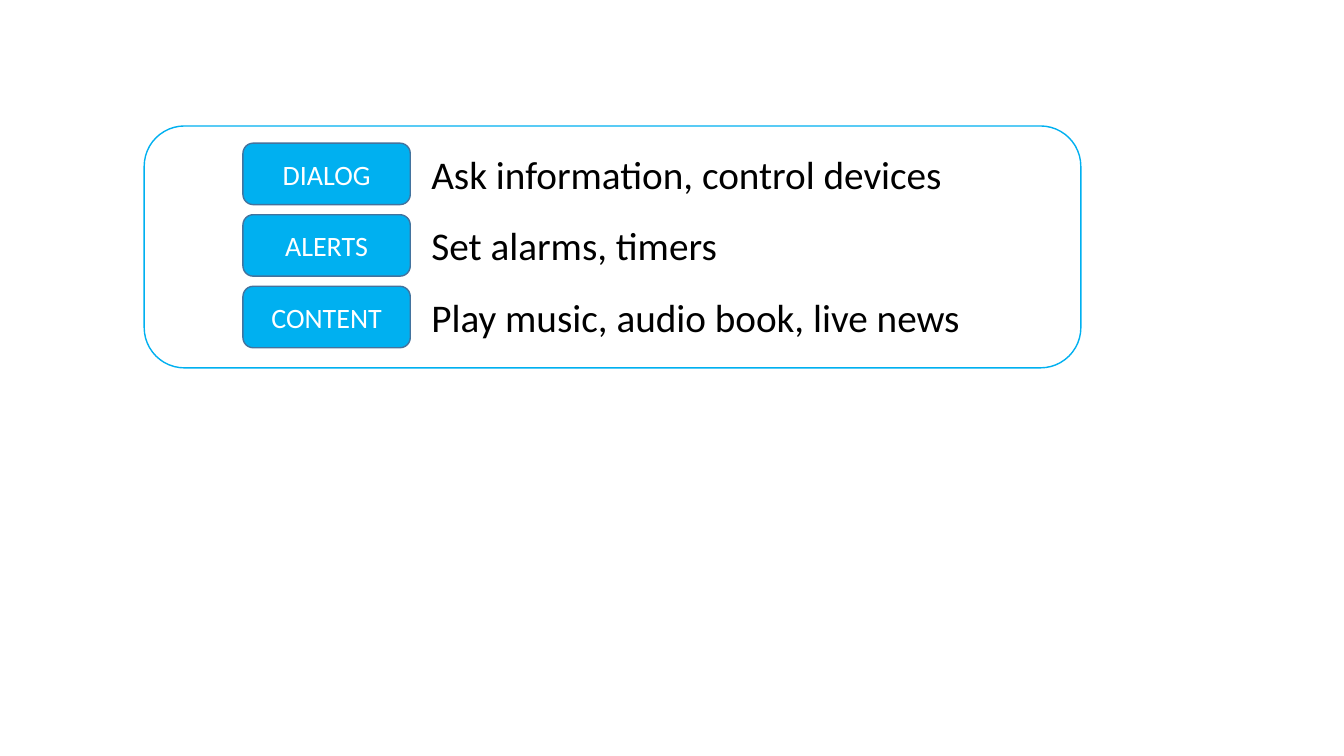
from dataclasses import dataclass

from pptx import Presentation
from pptx.dml.color import RGBColor
from pptx.enum.shapes import MSO_SHAPE
from pptx.enum.text import MSO_ANCHOR, MSO_AUTO_SIZE, PP_ALIGN
from pptx.util import Inches, Pt


@dataclass(frozen=True)
class Theme:
    font: str = "Calibri"
    accent: str = "00B0F0"
    tag_border: str = "43739E"
    tag_text: str = "FFFFFF"
    body_text: str = "000000"
    tag_size: int = 20
    body_size: int = 28
    line_width: int = 1


@dataclass(frozen=True)
class Box:
    left: float
    top: float
    width: float
    height: float

    def emu(self):
        return [Inches(v) for v in (self.left, self.top, self.width, self.height)]


THEME = Theme()
SLIDE_WIDTH, SLIDE_HEIGHT = 13.33, 7.5
FEATURES = [
    ("DIALOG", "Ask information, control devices"),
    ("ALERTS", "Set alarms, timers"),
    ("CONTENT", "Play music, audio book, live news"),
]


def write(holder, wording, size, color):
    holder.text_frame.text = wording
    font = holder.text_frame.paragraphs[0].runs[0].font
    font.name, font.size = THEME.font, Pt(size)
    font.color.rgb = RGBColor.from_string(color)


def add_rounded(slide, box, border, fill=None):
    rounded = slide.shapes.add_shape(MSO_SHAPE.ROUNDED_RECTANGLE, *box.emu())
    rounded.shadow.inherit = False
    rounded.line.color.rgb = RGBColor.from_string(border)
    rounded.line.width = Pt(THEME.line_width)
    if fill:
        rounded.fill.solid()
        rounded.fill.fore_color.rgb = RGBColor.from_string(fill)
    else:
        rounded.fill.background()
    return rounded


def add_tag(slide, box, wording):
    tag = add_rounded(slide, box, THEME.tag_border, THEME.accent)
    write(tag, wording, THEME.tag_size, THEME.tag_text)
    tag.text_frame.vertical_anchor = MSO_ANCHOR.MIDDLE
    tag.text_frame.paragraphs[0].alignment = PP_ALIGN.CENTER


def add_description(slide, box, wording):
    description = slide.shapes.add_textbox(*box.emu())
    write(description, wording, THEME.body_size, THEME.body_text)
    description.text_frame.word_wrap = True
    description.text_frame.auto_size = MSO_AUTO_SIZE.SHAPE_TO_FIT_TEXT


def add_feature_panel(slide, box, features):
    # Columns and rows inside the panel
    tag_left = box.left + 0.98
    description_left = box.left + 2.75
    first_row, row_step = box.top + 0.17, 0.71
    tag_width, tag_height, description_height = 1.66, 0.61, 0.57
    inset = (tag_height - description_height) / 2

    # Outline
    add_rounded(slide, box, THEME.accent)

    # One tag and description per row
    for row, (label, detail) in enumerate(features):
        top = first_row + row * row_step
        add_tag(slide, Box(tag_left, top, tag_width, tag_height), label)
        description_width = box.left + box.width - description_left
        add_description(
            slide,
            Box(description_left, top + inset, description_width, description_height),
            detail,
        )


def main():
    deck = Presentation()
    deck.slide_width, deck.slide_height = Inches(SLIDE_WIDTH), Inches(SLIDE_HEIGHT)
    slide = deck.slides.add_slide(deck.slide_layouts[6])
    add_feature_panel(slide, Box(1.43, 1.25, 9.29, 2.4), FEATURES)
    deck.save("out.pptx")


if __name__ == "__main__":
    main()
